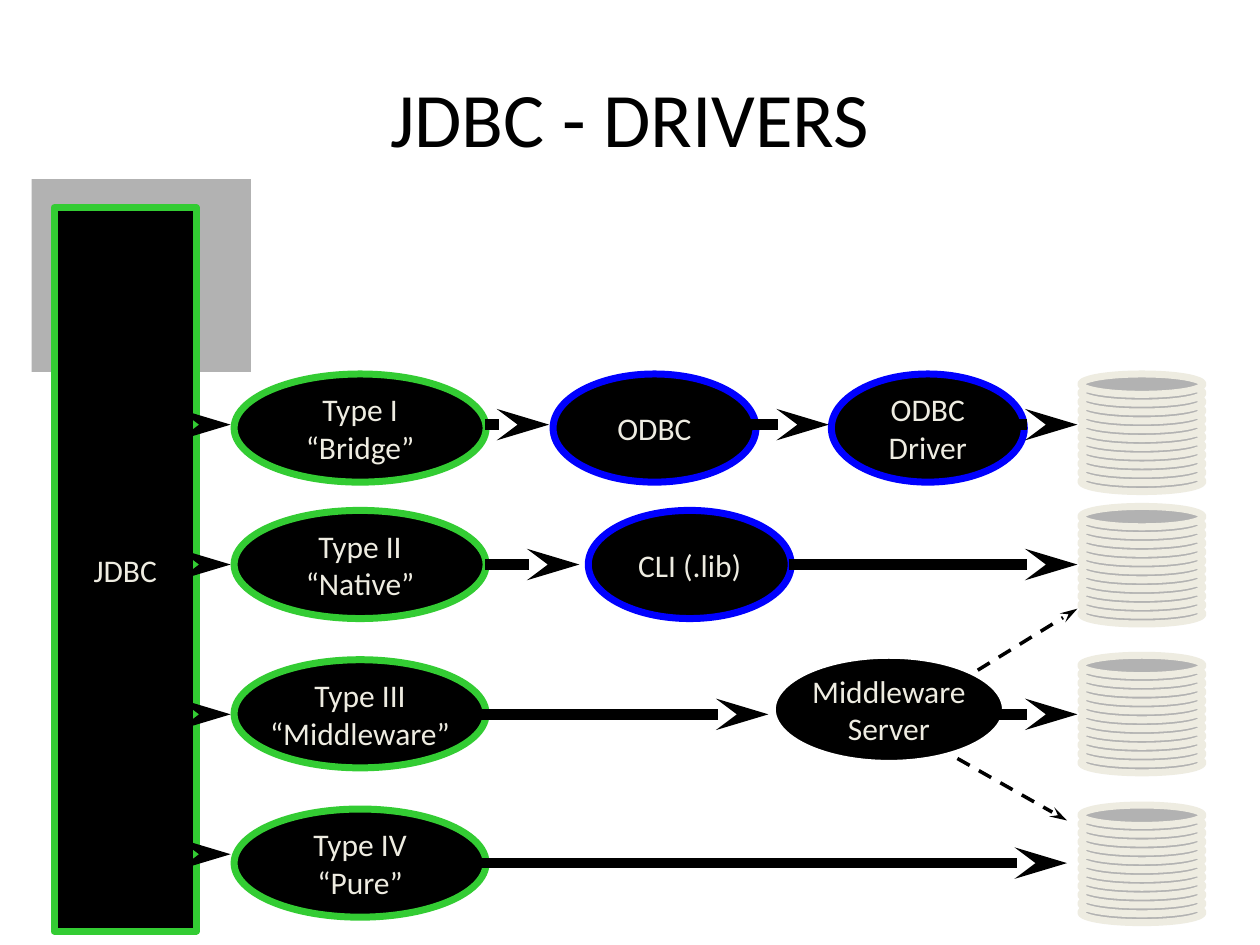
from pptx import Presentation
from pptx.util import Cm, Pt
from pptx.dml.color import RGBColor
from pptx.enum.dml import MSO_LINE
from pptx.enum.shapes import MSO_SHAPE, MSO_CONNECTOR
from pptx.enum.text import MSO_ANCHOR, PP_ALIGN
from lxml.etree import SubElement
from pptx.oxml.ns import qn

BLACK, GREY, CREAM = "000000", "B2B2B2", "EEECE1"
GREEN, BLUE, WHITE = "33CC33", "0000FF", "FFFFFF"
RECT, OVAL = MSO_SHAPE.RECTANGLE, MSO_SHAPE.OVAL
TITLE = "JDBC - DRIVERS"
TYPES = [
    ("Type I\n“Bridge”", 7.54),
    ("Type II\n“Native”", 10.29),
    ("Type III\n“Middleware”", 13.3),
    ("Type IV\n“Pure”", 16.31),
]
NODES = [
    ("ODBC", 11.15, 7.54, 4.09, BLUE),
    ("ODBC\nDriver", 16.76, 7.54, 3.89, BLUE),
    ("CLI (.lib)", 11.86, 10.29, 4.09, BLUE),
    ("Middleware\nServer", 15.57, 13.21, 4.7, WHITE),
]
DISKS = [7.54, 10.21, 13.21, 16.23]
LEVELS, RISE = 12, 1.96
FLOWS = [
    (8.56, [(2.74, 4.65), (9.78, 11.07), (14.81, 16.71), (19.81, 21.72)]),
    (11.38, [(3.66, 4.65), (9.78, 11.68), (15.9, 21.72)]),
    (14.4, [(2.74, 4.65), (9.68, 15.49), (20.12, 21.72)]),
    (17.22, [(2.74, 4.65)]),
    (17.4, [(9.68, 21.51)]),
]
LINKS = [(19.71, 13.51, 21.72, 12.27), (19.3, 15.29, 21.51, 16.54)]
FRAME = {
    "margin_left": Cm(0.25), "margin_right": Cm(0.25),
    "margin_top": Cm(0.13), "margin_bottom": Cm(0.13),
    "vertical_anchor": MSO_ANCHOR.MIDDLE, "word_wrap": False,
}


def paint(code):
    return RGBColor.from_string(code)


def style(item, values):
    for key, value in values.items():
        setattr(item, key, value)


def write(shape, text, size, color):
    frame = shape.text_frame
    style(frame, FRAME)
    frame.text = text
    for par in frame.paragraphs:
        par.alignment = PP_ALIGN.CENTER
        for run in par.runs:
            style(run.font, {"name": "Calibri", "size": Pt(size)})
            run.font.color.rgb = paint(color)


def draw(kind, box, fill, edge=None, text=None):
    shape = slide.shapes.add_shape(kind, *map(Cm, box))
    shape.shadow.inherit = False
    shape.fill.solid()
    shape.fill.fore_color.rgb = paint(fill)
    if edge:
        shape.line.color.rgb = paint(edge)
        shape.line.width = Pt(4)
    else:
        shape.line.fill.background()
    if text:
        write(shape, text, 18, CREAM)


def arrow(ends, width, dash=None):
    link = slide.shapes.add_connector(MSO_CONNECTOR.STRAIGHT, *map(Cm, ends))
    link.line.color.rgb = paint(BLACK)
    style(link.line, {"width": Pt(width), "dash_style": dash})
    props = link._element.spPr
    SubElement(props.find(qn("a:ln")), qn("a:tailEnd"),
               {"type": "stealth", "w": "med", "len": "lg"})
    SubElement(props, qn("a:effectLst"))


deck = Presentation()
style(deck, {"slide_width": Cm(25.4), "slide_height": Cm(19.05)})
slide = deck.slides.add_slide(deck.slide_layouts[6])

title = slide.shapes.add_textbox(Cm(1.27), Cm(0.76), Cm(22.86), Cm(3.18))
write(title, TITLE, 44, BLACK)
title.text_frame.word_wrap = True

draw(RECT, (0.64, 3.61, 4.42, 3.89), GREY)
draw(RECT, (1.09, 4.19, 2.87, 14.58), BLACK, GREEN, "JDBC")
for text, top in TYPES:
    draw(OVAL, (4.72, top, 5.08, 2.18), BLACK, GREEN, text)
for text, left, top, width, edge in NODES:
    draw(OVAL, (left, top, width, 2.18), BLACK, edge, text)
for top in DISKS:
    for level in reversed(range(LEVELS)):
        drop = RISE * level / (LEVELS - 1)
        draw(OVAL, (21.79, top + drop, 2.46, 0.41), GREY, CREAM)
for y, spans in FLOWS:
    for start, end in spans:
        arrow((start, y, end, y), 6)
for ends in LINKS:
    arrow(ends, 2, MSO_LINE.DASH)

deck.save("out.pptx")
